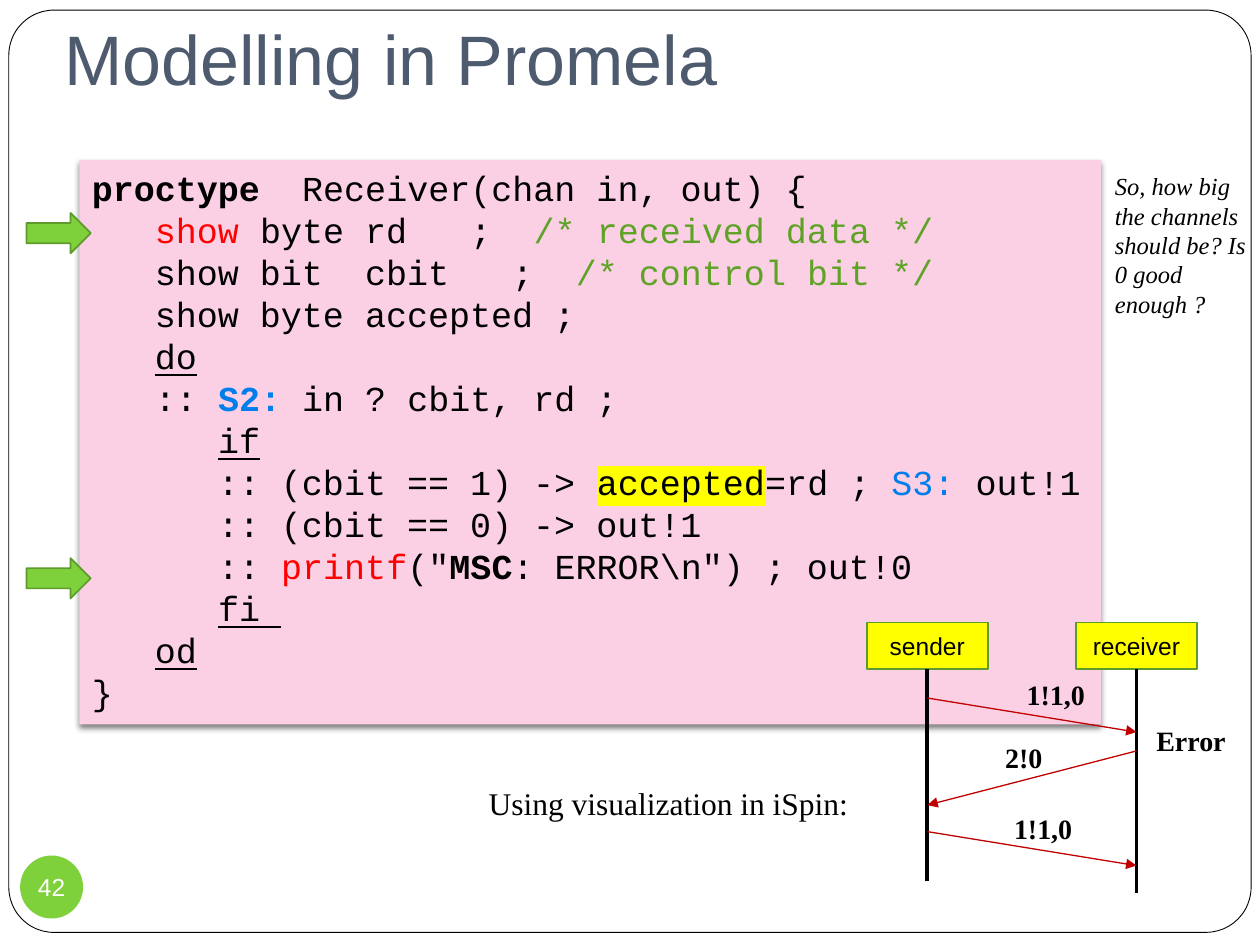
from lxml import etree
from pptx import Presentation
from pptx.dml.color import RGBColor
from pptx.enum import shapes, text
from pptx.oxml import ns
from pptx.util import Inches, Pt

THEME = {
    "sans": "Arial", "serif": "Times New Roman", "mono": "Courier New",
    "title": 40, "code": 20, "caption": 18, "message": 16, "small": 14,
    "ink": "000000", "paper": "FFFFFF", "heading": "4E5B6F", "panel": "FBD0E4",
    "green": "7FD13B", "outline": "5E9B2C", "yellow": "FFFF00", "arrow": "C00000",
    "red": "FF0000", "comment": "5FA326", "state": "007EEB",
}

PLAIN, BOLD, UNDER = {}, {"bold": True}, {"underline": True}
RED, COMMENT, STATE = {"color": "red"}, {"color": "comment"}, {"color": "state"}
MARKED = {"highlight": "yellow"}

TITLE = "Modelling in Promela"
CODE = [
    [("proctype", BOLD), ("  Receiver(chan in, out) {", PLAIN)],
    [("   ", PLAIN), ("show", RED), (" byte rd   ;  ", PLAIN), ("/* received data */", COMMENT)],
    [("   show bit  cbit   ;  ", PLAIN), ("/* control bit */", COMMENT)],
    [("   show byte accepted ;", PLAIN)],
    [("   ", PLAIN), ("do", UNDER)],
    [("   :: ", PLAIN), ("S2: ", {**STATE, **BOLD}), ("in ? cbit, rd ;", PLAIN)],
    [("      ", PLAIN), ("if", UNDER)],
    [("      :: (cbit == 1) -> ", PLAIN), ("accepted", MARKED), ("=rd ; ", PLAIN),
     ("S3: ", STATE), ("out!1", PLAIN)],
    [("      :: (cbit == 0) -> out!1", PLAIN)],
    [("      :: ", PLAIN), ("printf", RED), ('("', PLAIN), ("MSC", BOLD),
     (r': ERROR\n") ; out!0', PLAIN)],
    [("      ", PLAIN), ("fi ", UNDER)],
    [("   ", PLAIN), ("od", UNDER)],
    [("}", PLAIN)],
]
QUESTION = "So, how big the channels should be? Is 0 good enough ?"
POINTER_TOPS = [1.69, 4.43]
PAGE = "42"
# name, left edge of the box, bottom of the lifeline
PARTICIPANTS = [("sender", 6.88, 6.99), ("receiver", 8.54, 7.09)]
# sending participant, start height, receiving participant, end height
MESSAGES = [(0, 5.54, 1, 5.81), (1, 5.96, 0, 6.39), (0, 6.6, 1, 6.87)]
# text, box, size
LABELS = [
    ("1!1,0", (8.05, 5.33, 0.67, 0.37), "message", BOLD),
    ("2!0", (7.88, 5.83, 0.5, 0.37), "message", BOLD),
    ("1!1,0", (7.95, 6.39, 0.67, 0.37), "message", BOLD),
    ("Error", (9.08, 5.69, 0.76, 0.37), "message", BOLD),
    ("Using visualization in iSpin:", (3.78, 6.17, 3.08, 0.4), "caption", PLAIN),
]
BOX_TOP, BOX_WIDTH, BOX_HEIGHT = 4.94, 0.96, 0.37


def rgb(name):
    return RGBColor.from_string(THEME[name])


def sub(parent, tag, **attributes):
    return etree.SubElement(parent, ns.qn(tag), **attributes)


def add_run(paragraph, words, font, size, color="ink", bold=False, italic=False,
            underline=False, highlight=None):
    run = paragraph.add_run()
    run.text = words
    face = run.font
    face.name, face.size = THEME[font], Pt(THEME[size])
    face.bold, face.italic, face.underline = bold, italic, underline
    face.color.rgb = rgb(color)
    if highlight:
        marker = etree.Element(ns.qn("a:highlight"))
        sub(marker, "a:srgbClr", val=THEME[highlight])
        run._r.rPr.find(ns.qn("a:latin")).addprevious(marker)


def add_block(slide, preset, box, fill, line=None, width=1):
    block = slide.shapes.add_shape(preset, *map(Inches, box))
    block.shadow.inherit = False
    block.fill.solid()
    block.fill.fore_color.rgb = rgb(fill)
    if line:
        block.line.color.rgb = rgb(line)
        block.line.width = Pt(width)
    else:
        block.line.fill.background()
    return block


def center_text(block, words, color="ink"):
    frame = block.text_frame
    frame.vertical_anchor = text.MSO_ANCHOR.MIDDLE
    frame.paragraphs[0].alignment = text.PP_ALIGN.CENTER
    add_run(frame.paragraphs[0], words, "sans", "small", color)
    return frame


def add_label(slide, words, box, size, wrap=False, **style):
    frame = slide.shapes.add_textbox(*map(Inches, box)).text_frame
    frame.word_wrap = wrap
    add_run(frame.paragraphs[0], words, "serif", size, **style)


def add_line(slide, start, end, color, width, arrow=False):
    line = slide.shapes.add_connector(
        shapes.MSO_CONNECTOR.STRAIGHT, *map(Inches, (*start, *end)))
    line.line.color.rgb = rgb(color)
    line.line.width = Pt(width)
    if arrow:
        sub(line.line._get_or_add_ln(), "a:tailEnd", type="triangle")
    sub(line._element.spPr, "a:effectLst")
    return line


def add_frame_and_title(slide):
    frame = add_block(slide, shapes.MSO_SHAPE.ROUNDED_RECTANGLE,
                      (0.07, 0.08, 9.86, 7.32), "paper", "ink", 0.5)
    frame.adjustments[0] = 0.049
    title = slide.shapes.title
    title._element.addprevious(frame._element)
    title.left, title.top, title.width, title.height = map(Inches, (0.41, 0.3, 9.09, 0.59))
    heading = title.text_frame
    heading.vertical_anchor = text.MSO_ANCHOR.BOTTOM
    heading.margin_bottom = Inches(0.1)
    heading.paragraphs[0].alignment = text.PP_ALIGN.LEFT
    add_run(heading.paragraphs[0], TITLE, "sans", "title", "heading")


def add_code(slide):
    panel = add_block(slide, shapes.MSO_SHAPE.RECTANGLE, (0.63, 1.27, 8.11, 4.48), "panel")
    shadow = sub(panel._element.spPr.find(ns.qn("a:effectLst")), "a:outerShdw",
                 blurRad=str(Pt(3)), dist=str(Pt(2)), dir="5400000", rotWithShape="0")
    sub(sub(shadow, "a:srgbClr", val=THEME["ink"]), "a:alpha", val="50000")
    frame = panel.text_frame
    frame.word_wrap = False
    frame.vertical_anchor = text.MSO_ANCHOR.TOP
    for number, line in enumerate(CODE):
        paragraph = frame.add_paragraph() if number else frame.paragraphs[0]
        paragraph.alignment = text.PP_ALIGN.LEFT
        for words, style in line:
            add_run(paragraph, words, "mono", "code", **style)


def add_sequence_chart(slide):
    boxes = []
    for name, left, _ in PARTICIPANTS:
        box = add_block(slide, shapes.MSO_SHAPE.RECTANGLE,
                        (left, BOX_TOP, BOX_WIDTH, BOX_HEIGHT), "yellow", "outline")
        center_text(box, name)
        boxes.append(box)
    centers = [left + BOX_WIDTH / 2 for _, left, _ in PARTICIPANTS]
    for box, x, (_, _, bottom) in zip(boxes, centers, PARTICIPANTS):
        lifeline = add_line(slide, (x, BOX_TOP + BOX_HEIGHT), (x, bottom), "ink", 2.25)
        lifeline.begin_connect(box, 2)
    for source, start, target, end in MESSAGES:
        add_line(slide, (centers[source], start), (centers[target], end), "arrow", 0.75, True)


def main():
    deck = Presentation()
    deck.slide_width, deck.slide_height = Inches(10), Inches(7.5)
    slide = deck.slides.add_slide(deck.slide_layouts[5])
    add_frame_and_title(slide)
    add_code(slide)
    add_label(slide, QUESTION, (8.75, 1.31, 1.25, 1.28), "small", wrap=True, italic=True)
    for top in POINTER_TOPS:
        add_block(slide, shapes.MSO_SHAPE.RIGHT_ARROW, (0.21, top, 0.51, 0.32),
                  "green", "outline")
    badge = add_block(slide, shapes.MSO_SHAPE.OVAL, (0.16, 6.79, 0.5, 0.5), "green")
    number = center_text(badge, PAGE, "paper")
    number.word_wrap = False
    number.margin_left = number.margin_right = number.margin_top = number.margin_bottom = 0
    add_sequence_chart(slide)
    for words, box, size, style in LABELS:
        add_label(slide, words, box, size, **style)
    deck.save("out.pptx")


if __name__ == "__main__":
    main()
